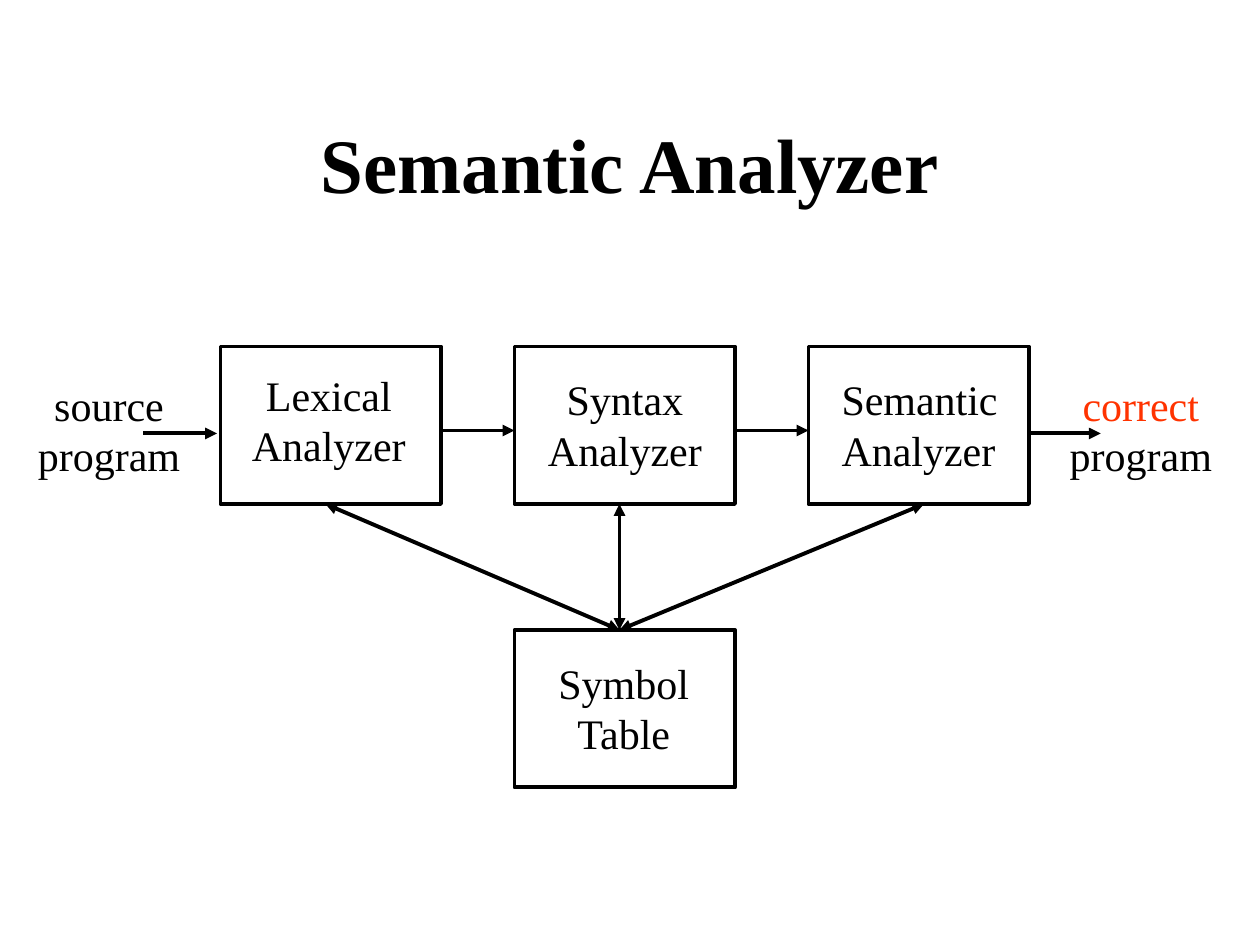
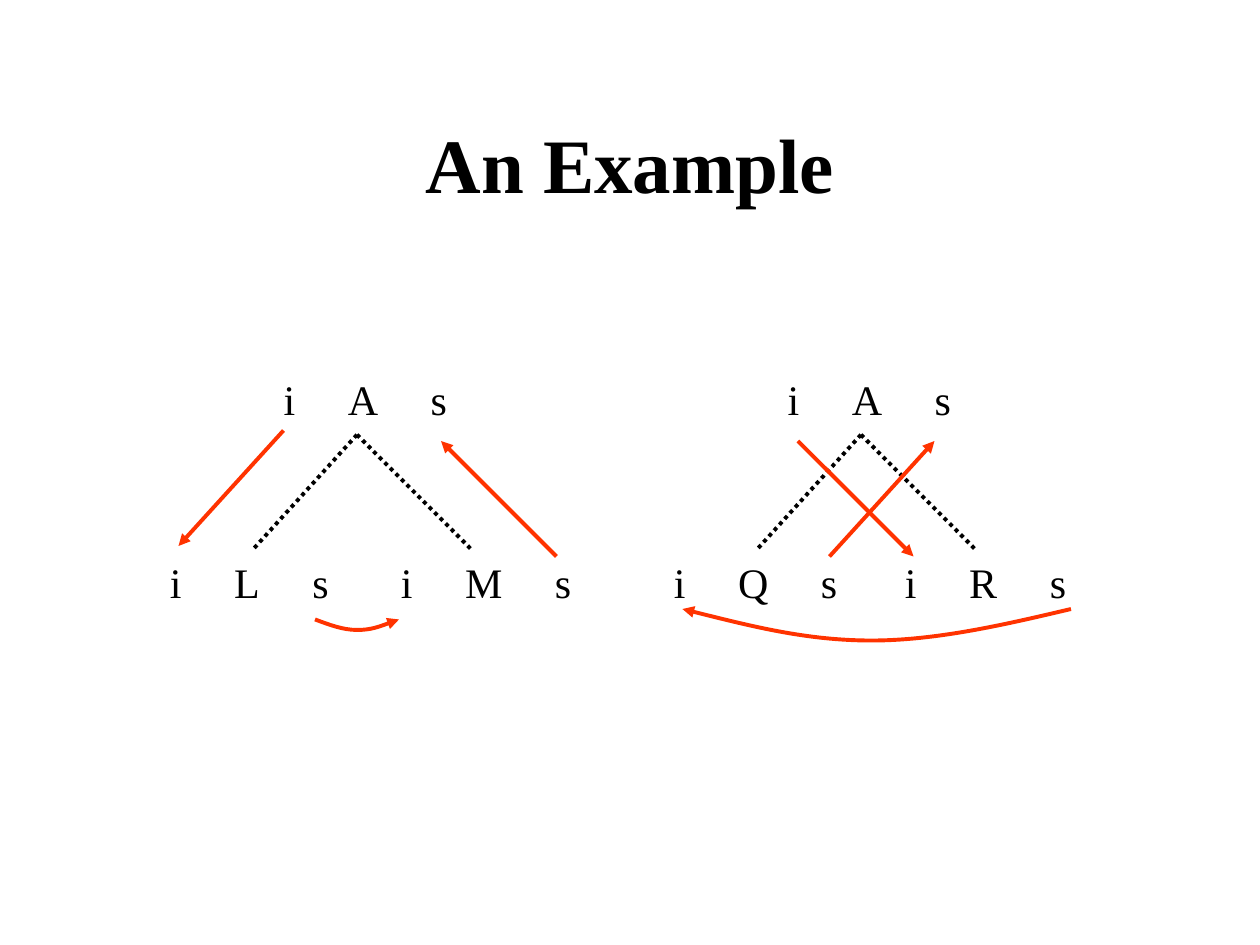
from dataclasses import dataclass

from lxml import etree
from pptx import Presentation
from pptx.dml.color import RGBColor
from pptx.enum.dml import MSO_LINE
from pptx.enum.shapes import MSO_CONNECTOR, MSO_SHAPE
from pptx.enum.text import MSO_ANCHOR, PP_ALIGN
from pptx.oxml.ns import qn
from pptx.util import Pt

LEFT, CENTER = PP_ALIGN.LEFT, PP_ALIGN.CENTER
TOP, MIDDLE = MSO_ANCHOR.TOP, MSO_ANCHOR.MIDDLE
DOTTED = MSO_LINE.ROUND_DOT
STRAIGHT = MSO_CONNECTOR.STRAIGHT
RECTANGLE = MSO_SHAPE.RECTANGLE


@dataclass(frozen=True)
class Theme:
    font: str = "Times New Roman"
    ink: RGBColor = RGBColor(0x00, 0x00, 0x00)
    accent: RGBColor = RGBColor(0xFF, 0x33, 0x00)
    title_size: float = 44
    body_size: float = 24
    line_width: float = 2.24
    inset_x: float = 7.2
    inset_y: float = 3.6


THEME = Theme()

# Shared frame
PAGE_WIDTH, PAGE_HEIGHT = 720, 540
TITLE_BOX = (54, 48, 612, 90)

# Slide 1: a row of phases above a shared symbol table
PHASE_LEFT, PHASE_TOP, PHASE_STEP = 126, 198, 168
BOX_WIDTH, BOX_HEIGHT = 126, 90
TABLE_TOP = 360
FLOW_Y, OUTER_FLOW_Y = 246, 247.7
OUTER_FLOWS = [(82, 124), (587, 629)]
TABLE_LINK_STARTS = [186, 354, 528]
TABLE_LINK_END = 354
LABEL_HEIGHT = 64.8
# lines, left, top, width, alignment, colour of the first line
LABELS = [
    (("Lexical", "Analyzer"), 136.8, 207.4, 102.2, CENTER, THEME.ink),
    (("Syntax", "Analyzer"), 306, 210, 102.2, CENTER, THEME.ink),
    (("Semantic", "Analyzer"), 473.8, 210, 103.7, LEFT, THEME.ink),
    (("Symbol", "Table"), 311.8, 372.2, 89.3, CENTER, THEME.ink),
    (("source", "program"), 14.4, 213.1, 95.8, CENTER, THEME.ink),
    (("correct", "program"), 604, 213.1, 95.8, CENTER, THEME.accent),
]

# Slide 2: two syntax trees, with the flow of attributes in the accent colour
TREES = [("A", "L", "M"), ("A", "Q", "R")]
TREE_STEP = 288
NODE_PLACES = [(155, 210.2), (90, 314.6), (222, 314.6)]
NODE_HEIGHT = 36
LETTER_GAP = 30
LETTER_EMS = {"i": 0.28, "s": 0.39, "A": 0.72, "L": 0.61, "M": 0.89,
              "Q": 0.72, "R": 0.67}
BRANCH_ROOT = (204, 248.4)
BRANCH_ENDS = [(144, 314.6), (270, 314.6)]
FLOW_ARROWS = [
    ((162, 246), (102, 312)),
    ((318, 318), (252, 252)),
    ((456, 252), (522, 318)),
    ((474, 318), (534, 252)),
]
# start, then two control points and an end for each segment
FLOW_CURVES = [
    [(180, 354), (188, 357), (196, 360), (204, 360),
     (212, 360), (220, 357), (228, 354)],
    [(612, 348), (574, 357), (535, 366), (498, 366),
     (461, 366), (426, 357), (390, 348)],
]


def points(*values):
    return [Pt(value) for value in values]


def add_text(page, lines, place, *, size=THEME.body_size, colors=(THEME.ink,),
             bold=False, align=LEFT, anchor=TOP, wrap=False, stops=()):
    """Add one paragraph per line; the last colour serves all later lines."""
    frame = page.shapes.add_textbox(*points(*place)).text_frame
    frame.word_wrap = wrap
    frame.vertical_anchor = anchor
    frame.margin_left = frame.margin_right = Pt(THEME.inset_x)
    frame.margin_top = frame.margin_bottom = Pt(THEME.inset_y)
    for index, line in enumerate(lines):
        para = frame.paragraphs[0] if index == 0 else frame.add_paragraph()
        para.alignment = align
        if stops:
            tabs = etree.SubElement(para._p.get_or_add_pPr(), qn("a:tabLst"))
            for stop in stops:
                etree.SubElement(tabs, qn("a:tab"), pos=str(Pt(stop)), algn="l")
        span = para.add_run()
        span.text = line
        span.font.name = THEME.font
        span.font.size = Pt(size)
        span.font.bold = bold
        span.font.color.rgb = colors[min(index, len(colors) - 1)]


def style_line(shape, color=THEME.ink, dash=None, head=False, tail=False):
    shape.line.color.rgb = color
    shape.line.width = Pt(THEME.line_width)
    if dash is not None:
        shape.line.dash_style = dash
    outline = shape.line._get_or_add_ln()
    for tag, wanted in (("a:headEnd", head), ("a:tailEnd", tail)):
        if wanted:
            etree.SubElement(outline, qn(tag), type="triangle")


def add_line(page, start, end, **style):
    line = page.shapes.add_connector(STRAIGHT, *points(*start, *end))
    style_line(line, **style)
    etree.SubElement(line._element.spPr, qn("a:effectLst"))


def add_box(page, left, top):
    box = page.shapes.add_shape(
        RECTANGLE, *points(left, top, BOX_WIDTH, BOX_HEIGHT))
    box.shadow.inherit = False
    box.fill.background()
    style_line(box)


def add_curve(page, nodes, **style):
    """Build an open outline, then join its points in threes as Bezier segments."""
    start, *others = [points(*node) for node in nodes]
    builder = page.shapes.build_freeform(*start)
    builder.add_line_segments(others, close=False)
    curve = builder.convert_to_shape()
    curve.shadow.inherit = False
    curve.fill.background()
    style_line(curve, **style)
    outline = next(curve._element.iter(qn("a:path")))
    segments = outline.findall(qn("a:lnTo"))
    for first in range(0, len(segments), 3):
        bezier = etree.SubElement(outline, qn("a:cubicBezTo"))
        for segment in segments[first:first + 3]:
            bezier.append(segment[0])
            outline.remove(segment)


def add_node(page, symbol, left, top):
    """Write the symbol between its inherited and synthesized attributes."""
    letters = ("i", symbol, "s")
    widths = [LETTER_EMS[letter] * THEME.body_size for letter in letters]
    stops = [widths[0] + LETTER_GAP, sum(widths[:2]) + 2 * LETTER_GAP]
    width = stops[-1] + widths[-1] + 2 * THEME.inset_x + 2
    add_text(page, ["\t".join(letters)], (left, top, width, NODE_HEIGHT),
             wrap=True, stops=stops)


def add_page(deck, title):
    page = deck.slides.add_slide(deck.slide_layouts[6])
    add_text(page, [title], TITLE_BOX, size=THEME.title_size, bold=True,
             align=CENTER, anchor=MIDDLE, wrap=True)
    return page


def build_phases(deck):
    page = add_page(deck, "Semantic Analyzer")
    # Boxes
    lefts = [PHASE_LEFT + PHASE_STEP * index for index in range(3)]
    for left in lefts:
        add_box(page, left, PHASE_TOP)
    add_box(page, lefts[1], TABLE_TOP)
    # Flow between phases, and in and out
    for left, following in zip(lefts, lefts[1:]):
        add_line(page, (left + BOX_WIDTH, FLOW_Y), (following, FLOW_Y), tail=True)
    for start, end in OUTER_FLOWS:
        add_line(page, (start, OUTER_FLOW_Y), (end, OUTER_FLOW_Y), tail=True)
    # Links to the symbol table
    for start in TABLE_LINK_STARTS:
        add_line(page, (start, PHASE_TOP + BOX_HEIGHT),
                 (TABLE_LINK_END, TABLE_TOP), head=True, tail=True)
    # Labels
    for lines, left, top, width, align, color in LABELS:
        add_text(page, lines, (left, top, width, LABEL_HEIGHT),
                 colors=(color, THEME.ink), align=align)


def build_trees(deck):
    page = add_page(deck, "An Example")
    # Nodes and dotted branches
    for index, symbols in enumerate(TREES):
        shift = TREE_STEP * index
        for symbol, (left, top) in zip(symbols, NODE_PLACES):
            add_node(page, symbol, left + shift, top)
        for x, y in BRANCH_ENDS:
            add_line(page, (BRANCH_ROOT[0] + shift, BRANCH_ROOT[1]),
                     (x + shift, y), dash=DOTTED)
    # Attribute flow
    for start, end in FLOW_ARROWS:
        add_line(page, start, end, color=THEME.accent, tail=True)
    for nodes in FLOW_CURVES:
        add_curve(page, nodes, color=THEME.accent, tail=True)


deck = Presentation()
deck.slide_width, deck.slide_height = points(PAGE_WIDTH, PAGE_HEIGHT)
build_phases(deck)
build_trees(deck)
deck.save("out.pptx")
